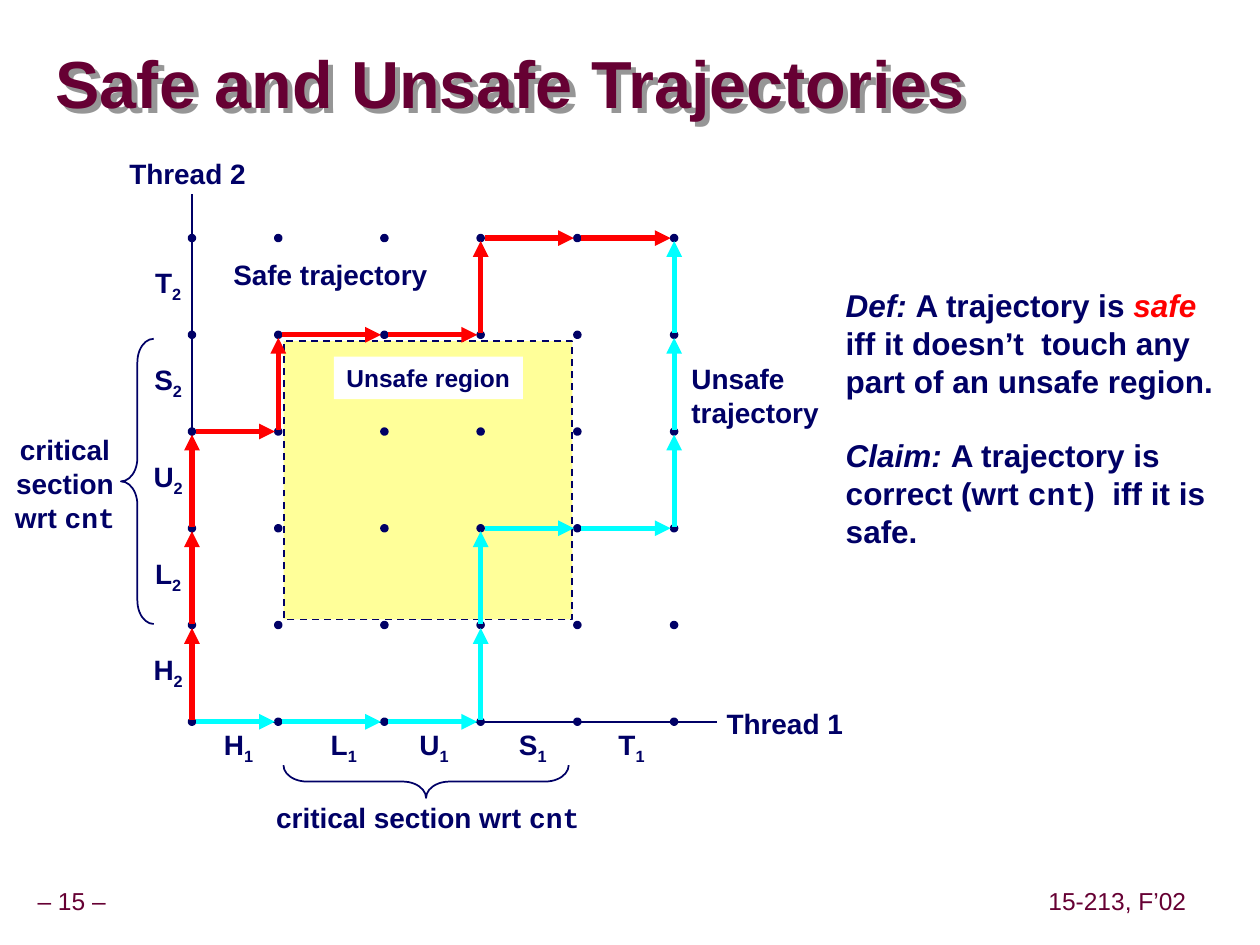
import itertools

import lxml.etree
import pptx
import pptx.dml.color
import pptx.enum.dml
import pptx.enum.shapes
import pptx.enum.text
import pptx.oxml
import pptx.oxml.ns
import pptx.util

Cm = pptx.util.Cm
Pt = pptx.util.Pt
RGBColor = pptx.dml.color.RGBColor
Align = pptx.enum.text.PP_ALIGN
Anchor = pptx.enum.text.MSO_ANCHOR
Shape = pptx.enum.shapes.MSO_SHAPE

NAVY = RGBColor(0x00, 0x00, 0x66)
MAROON = RGBColor(0x66, 0x00, 0x33)
RED = RGBColor(0xFF, 0x00, 0x00)
CYAN = RGBColor(0x00, 0xFF, 0xFF)
YELLOW = RGBColor(0xFF, 0xFF, 0x99)
WHITE = RGBColor(0xFF, 0xFF, 0xFF)
GRAY = RGBColor(0x96, 0x96, 0x96)

COLUMNS = [0, 1.74, 3.88, 5.82, 7.77, 9.72]
ROWS = [9.75 - 1.95 * step for step in range(6)]
STATES = "HLUST"
STATE_CENTRES = [0.94, 3.06, 4.88, 6.87, 8.86]
SAFE_STEPS = "UUURURRURR"
UNSAFE_STEPS = "RRRUURRUUU"


def add_span(para, text, size, color=NAVY, bold=True, italic=False, font="Arial"):
    """Add one formatted run to a paragraph."""
    span = para.add_run()
    span.text = text
    span.font.name = font
    span.font.size = Pt(size)
    span.font.bold = bold
    span.font.italic = italic
    span.font.color.rgb = color


def add_text(page, box, lines, size=16, align=Align.CENTER, wrap=False,
             anchor=Anchor.MIDDLE, **style):
    """Add a text box whose lines are lists of (text, style) pairs."""
    frame = page.shapes.add_textbox(*map(Cm, box)).text_frame
    frame.word_wrap = wrap
    frame.vertical_anchor = anchor
    for number, line in enumerate(lines):
        para = frame.add_paragraph() if number else frame.paragraphs[0]
        para.alignment = align
        for text, extra in line:
            add_span(para, text, size, **{**style, **extra})
    return frame


def add_shape(page, kind, box, fill=None, line=None, width=1):
    """Add a preset shape without shadow."""
    shape = page.shapes.add_shape(kind, *map(Cm, box))
    shape.shadow.inherit = False
    if fill is None:
        shape.fill.background()
    else:
        shape.fill.solid()
        shape.fill.fore_color.rgb = fill
    if line is None:
        shape.line.fill.background()
    else:
        shape.line.color.rgb = line
        shape.line.width = Pt(width)
    return shape


def add_line(page, start, end, color, width, arrow=False):
    """Add a straight line, with an arrowhead at its end if asked."""
    line = page.shapes.add_connector(
        pptx.enum.shapes.MSO_CONNECTOR.STRAIGHT, *map(Cm, (*start, *end)))
    line.line.color.rgb = color
    line.line.width = Pt(width)
    if arrow:
        lxml.etree.SubElement(line.line._get_or_add_ln(),
                              pptx.oxml.ns.qn("a:tailEnd"), type="triangle")
    lxml.etree.SubElement(line._element.spPr, pptx.oxml.ns.qn("a:effectLst"))


def add_title(page, box):
    """Fill the title placeholder with shadowed text."""
    title = page.shapes.title
    title.left, title.top, title.width, title.height = map(Cm, box)
    title.fill.background()
    title.line.fill.background()
    title._element.spPr.append(pptx.oxml.parse_xml(
        f'<a:effectLst {pptx.oxml.ns.nsdecls("a")}>'
        f'<a:outerShdw dist="53882" dir="2700000"><a:srgbClr val="{GRAY}"/>'
        '</a:outerShdw></a:effectLst>'))
    frame = title.text_frame
    frame.auto_size = pptx.enum.text.MSO_AUTO_SIZE.NONE
    frame.margin_left = frame.margin_right = frame.margin_top = frame.margin_bottom = 0
    frame.vertical_anchor = Anchor.MIDDLE
    para = frame.paragraphs[0]
    para.alignment = Align.LEFT
    para.line_spacing = 0.87
    add_span(para, "Safe and Unsafe Trajectories", 38, MAROON)


def add_trajectory(page, left, top, steps, color):
    """Draw arrows from the origin, one grid step right or up at a time."""
    nodes = [(0, 0)]
    for step in steps:
        column, row = nodes[-1]
        nodes.append((column + 1, row) if step == "R" else (column, row + 1))
    points = [(left + COLUMNS[column], top + ROWS[row]) for column, row in nodes]
    for step, (start, end) in zip(steps, itertools.pairwise(points)):
        if step == "R":
            start, end = (start[0] + 0.08, start[1]), (end[0] - 0.07, end[1])
        else:
            start, end = (start[0], start[1] - 0.03), (end[0], end[1] + 0.06)
        add_line(page, start, end, color, 3, arrow=True)


def add_state(page, x, y, letter, thread):
    """Add a state label with a subscript, centred on a point."""
    frame = add_text(page, (x - 0.55, y - 0.52, 1.1, 1.04),
                     [[(letter, {}), (thread, {})]])
    frame.paragraphs[0].runs[1].font._element.set("baseline", "-25000")


def add_progress_graph(page, box):
    """Draw the axes, grid, unsafe region, trajectories and labels."""
    left, top, width, height = box
    region = add_shape(page, Shape.RECTANGLE,
                       (left + 1.85, top + 2.08, 5.82, 5.61), YELLOW, NAVY)
    region.line.dash_style = pptx.enum.dml.MSO_LINE.DASH
    origin = (left, top + height)
    add_line(page, origin, (left + width + 0.86, origin[1]), NAVY, 1)
    add_line(page, origin, (left, top - 0.89), NAVY, 1)
    for x, y in itertools.product(COLUMNS, ROWS):
        add_shape(page, Shape.OVAL, (left + x - 0.05, top + y - 0.05, 0.1, 0.1),
                  NAVY, NAVY, 2)
    for letter, x, (low, high) in zip(STATES, STATE_CENTRES, itertools.pairwise(ROWS)):
        add_state(page, left + x, top + height + 0.5, letter, "1")
        add_state(page, left - 0.48, top + (low + high) / 2 - 0.03, letter, "2")
    label = add_shape(page, Shape.RECTANGLE, (left + 2.86, top + 2.39, 3.81, 0.86), WHITE)
    label.text_frame.word_wrap = False
    label.text_frame.paragraphs[0].alignment = Align.CENTER
    add_span(label.text_frame.paragraphs[0], "Unsafe region", 14)
    add_trajectory(page, left, top, UNSAFE_STEPS, CYAN)
    add_trajectory(page, left, top, SAFE_STEPS, RED)

    for x, y, text in ((10.38, 9.32, "Thread 1"), (-1.66, -1.78, "Thread 2")):
        add_text(page, (left + x, top + y, 3.14, 0.94), [[(text, {})]])
    add_text(page, (left + 0.48, top + 0.26, 4.62, 0.94), [[("Safe trajectory", {})]])
    add_text(page, (left + 9.82, top + 2.36, 3.2, 1.63),
             [[("Unsafe", {})], [("trajectory", {})]], align=Align.LEFT)
    section = [[("critical section wrt ", {}), ("cnt", {"font": "Courier New"})]]
    add_text(page, (left + 1.34, top + 11.2, 6.83, 0.94), section)
    add_text(page, (left - 3.87, top + 3.8, 2.62, 2.29), section, wrap=True)
    for x, y, turn in ((-1.43, 2.03, 0), (4.39, 8.08, 270)):
        brace = add_shape(page, Shape.LEFT_BRACE, (left + x, top + y, 0.66, 5.75),
                          line=NAVY)
        brace.adjustments[0] = 0.72
        brace.rotation = turn


def add_definitions(page, box):
    """Write the definition of a safe trajectory and the claim."""
    italic = {"italic": True}
    frame = add_text(page, box, [
        [("Def: ", italic), ("A trajectory is ", {}),
         ("safe", {"italic": True, "color": RED})],
        [("iff it doesn’t  touch any", {})],
        [("part of an unsafe region.", {})],
        [("Claim: ", italic), ("A trajectory is", {})],
        [("correct (wrt ", {}), ("cnt", {"font": "Courier New"}), (")  iff it is", {})],
        [("safe.", {})],
    ], size=18, align=Align.LEFT, anchor=Anchor.TOP)
    frame.margin_top = frame.margin_bottom = 0
    frame.paragraphs[3].space_before = Pt(21)


def add_footer(page, box):
    """Write the page number and the course name at the two ends."""
    left, top, width, height = box
    label_width = 3.33
    for x, text in ((left, "– 15 –"), (left + width - label_width, "15-213, F’02")):
        frame = add_text(page, (x, top, label_width, height), [[(text, {})]],
                         size=14, color=MAROON, bold=False)
        frame.margin_left = frame.margin_right = Cm(0.13)


def main():
    """Build the deck and save it."""
    deck = pptx.Presentation()
    deck.slide_width, deck.slide_height = Cm(25.4), Cm(19.05)
    page = deck.slides.add_slide(deck.slide_layouts[5])
    add_title(page, (1.12, 0.69, 24.2, 2.16))
    add_progress_graph(page, (3.87, 4.8, 9.72, 9.75))
    add_definitions(page, (16.8, 5.77, 8.31, 5.2))
    add_footer(page, (-0.22, 17.76, 24.41, 0.79))
    deck.save("out.pptx")


if __name__ == "__main__":
    main()
